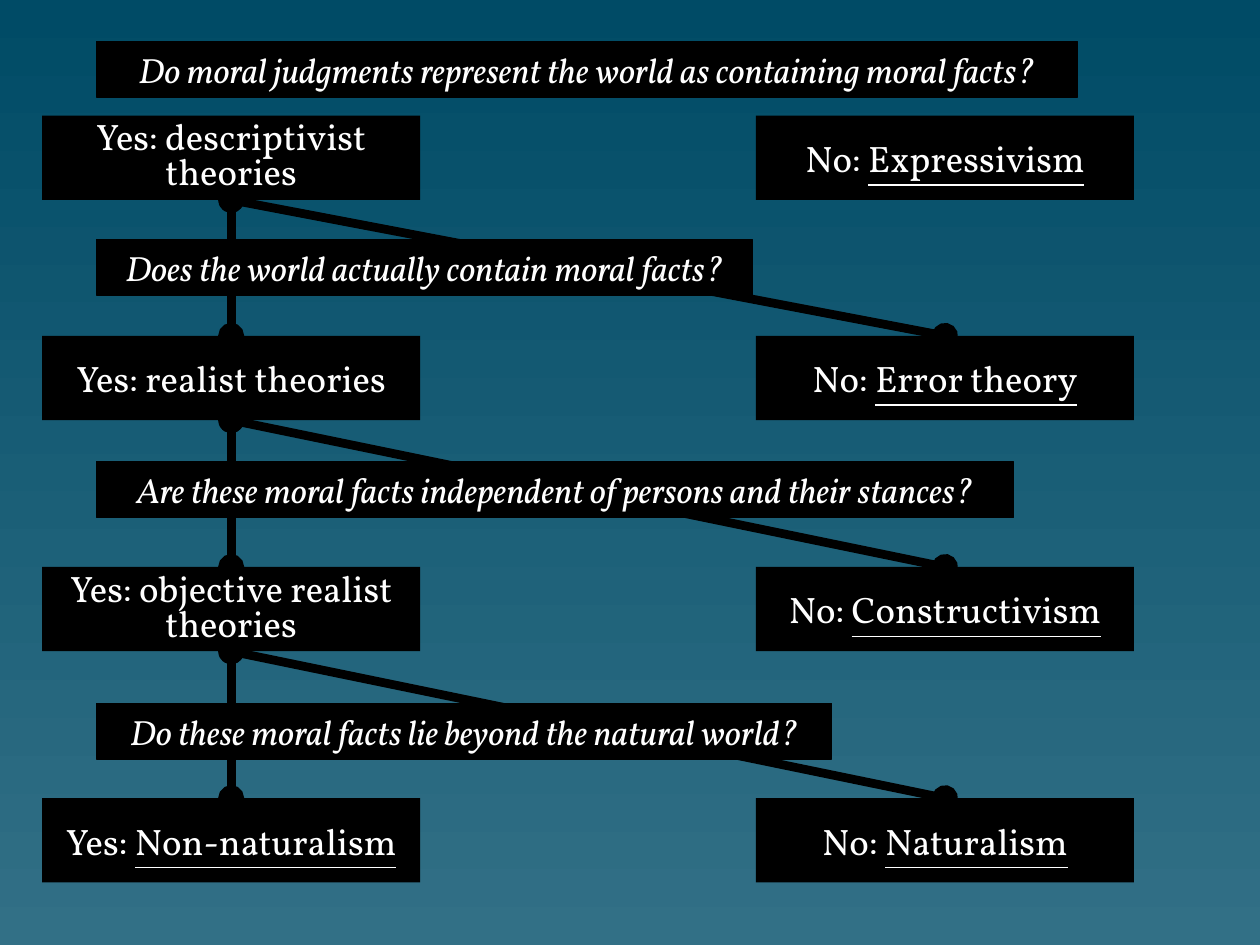
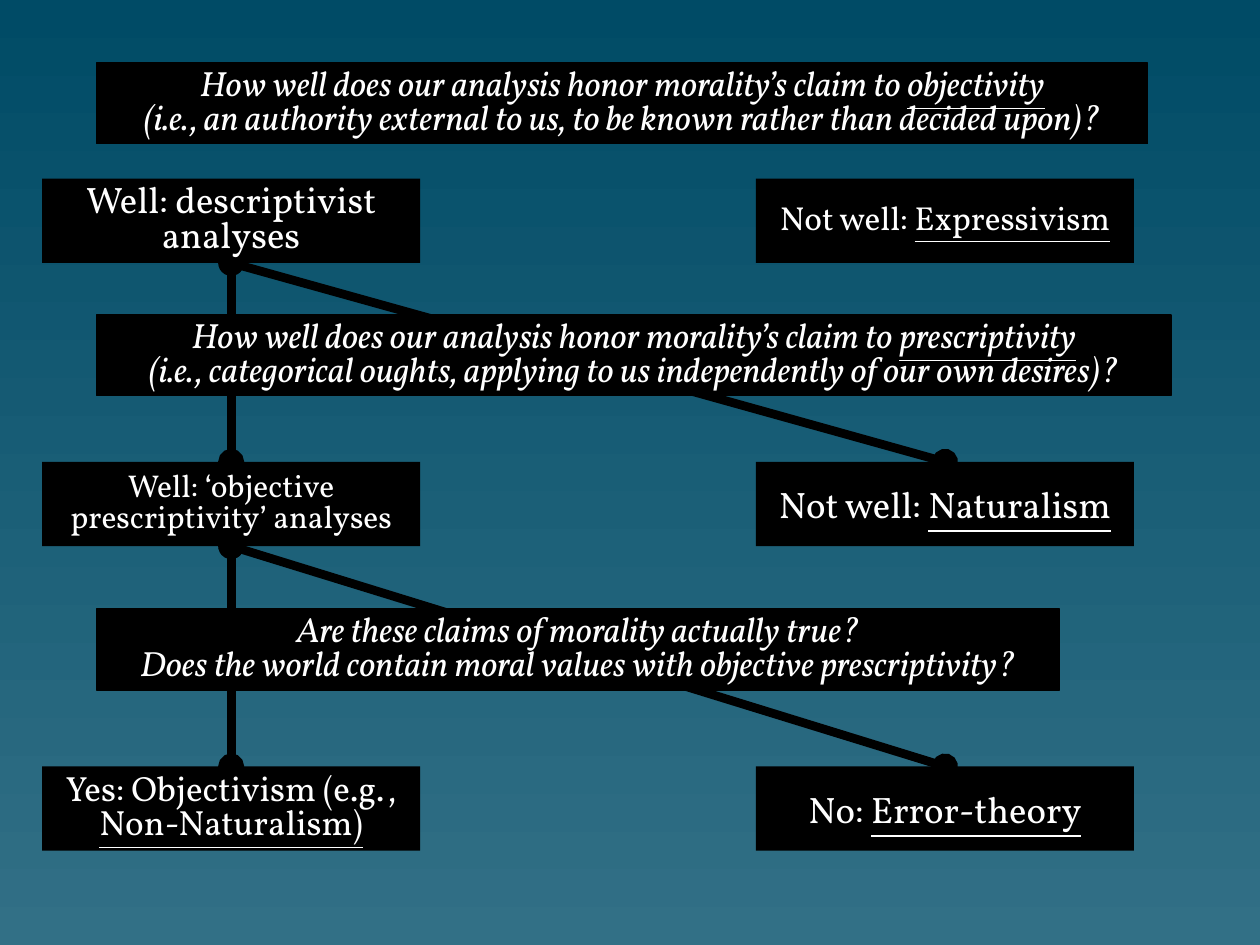
import pptx
import pptx.dml.color
import pptx.enum.shapes
import pptx.enum.text
import pptx.oxml
import pptx.util
from pptx.util import Cm

FONT = "Vollkorn"
BLACK, WHITE = "000000", "FFFFFF"
BACKGROUND = ("004B66", "327086")
YES_LEFT, NO_LEFT = 0.85, 15.24
ANSWER_W, ANSWER_H = 7.62, 1.7
QUESTION_LEFT = 1.95
TOP, BOTTOM = 0, 2  # connection sites

# Text between asterisks is underlined.
# Question: top, width, height, text. Answer: text, size, line spacing.
THEORIES = [
    dict(question=(0.84, 19.77, 1.12,
                   "Do moral judgments represent the world as containing moral facts?"),
         top=2.33,
         yes=("Yes: descriptivist theories", 21, 0.8),
         no=("No: *Expressivism*", 21, 1)),
    dict(question=(4.83, 13.22, 1.12, "Does the world actually contain moral facts?"),
         top=6.77,
         yes=("Yes: realist theories", 21, 1),
         no=("No: *Error theory*", 21, 1)),
    dict(question=(9.31, 18.48, 1.12,
                   "Are these moral facts independent of persons and their stances?"),
         top=11.43,
         yes=("Yes: objective realist theories", 21, 0.8),
         no=("No: *Constructivism*", 21, 1)),
    dict(question=(14.18, 14.82, 1.12,
                   "Do these moral facts lie beyond the natural world?"),
         top=16.09,
         yes=("Yes: *Non-naturalism*", 21, 1),
         no=("No: *Naturalism*", 21, 1)),
]
ANALYSES = [
    dict(question=(1.27, 21.19, 1.63,
                   "How well does our analysis honor morality’s claim to *objectivity*\n"
                   "(i.e., an authority external to us, to be known rather than decided upon)?"),
         top=3.6,
         yes=("Well: descriptivist analyses", 21, 0.8),
         no=("Not well: *Expressivism*", 19, 0.81)),
    dict(question=(6.35, 21.66, 1.63,
                   "How well does our analysis honor morality’s claim to *prescriptivity*\n"
                   "(i.e., categorical oughts, applying to us independently of our own desires)?"),
         top=9.31,
         yes=("Well: ‘objective prescriptivity’ analyses", 18, 0.81),
         no=("Not well: *Naturalism*", 21, 1)),
    dict(question=(12.28, 19.41, 1.63,
                   "Are these claims of morality actually true?\n"
                   "Does the world contain moral values with objective prescriptivity?"),
         top=15.45,
         yes=("Yes: Objectivism (e.g., *Non-Naturalism)*", 20, 0.8),
         no=("No: *Error-theory*", 21, 1)),
]


def rgb(value):
    return pptx.dml.color.RGBColor.from_string(value)


def set_background(master):
    fill = master.background.fill
    fill.gradient()
    fill.gradient_angle = 270
    for stop, color in zip(fill.gradient_stops, BACKGROUND):
        stop.color.rgb = rgb(color)


def write(tf, text, size, spacing, italic=False):
    """Fill the frame with one paragraph a line, underlining *marked* words."""
    tf.vertical_anchor = pptx.enum.text.MSO_ANCHOR.MIDDLE
    for i, line in enumerate(text.split("\n")):
        p = tf.add_paragraph() if i else tf.paragraphs[0]
        p.alignment = pptx.enum.text.PP_ALIGN.CENTER
        p.line_spacing = spacing
        for j, part in enumerate(line.split("*")):
            if not part:
                continue
            r = p.add_run()
            r.text = part
            r.font.name = FONT
            r.font.size = pptx.util.Pt(size)
            r.font.color.rgb = rgb(WHITE)
            if italic:
                r.font.italic = True
            if j % 2:
                r.font.underline = True


def add_box(slide, left, top, width, height):
    sp = slide.shapes.add_shape(pptx.enum.shapes.MSO_SHAPE.RECTANGLE,
                                Cm(left), Cm(top), Cm(width), Cm(height))
    sp.shadow.inherit = False
    sp.fill.solid()
    sp.fill.fore_color.rgb = rgb(BLACK)
    sp.line.fill.background()
    return sp


def add_answer(slide, left, top, text, size, spacing):
    sp = add_box(slide, left, top, ANSWER_W, ANSWER_H)
    sp.text_frame.word_wrap = True
    write(sp.text_frame, text, size, spacing)
    return sp


def add_question(slide, top, width, height, text):
    sp = add_box(slide, QUESTION_LEFT, top, width, height)
    sp.line.color.rgb = rgb(BLACK)
    sp.line.width = pptx.util.Pt(0.75)
    tf = sp.text_frame
    tf.word_wrap = False
    tf.auto_size = pptx.enum.text.MSO_AUTO_SIZE.SHAPE_TO_FIT_TEXT
    write(tf, text, 20, 0.81 if "\n" in text else 1, italic=True)


def add_branch(slide, parent, child):
    """Join two answers with a round-ended line behind all boxes."""
    cn = slide.shapes.add_connector(pptx.enum.shapes.MSO_CONNECTOR.STRAIGHT, 0, 0, 0, 0)
    cn.begin_connect(parent, BOTTOM)
    cn.end_connect(child, TOP)
    cn.line.color.rgb = rgb(BLACK)
    cn.line.width = pptx.util.Pt(5)
    ln = cn.line._get_or_add_ln()
    ns = 'xmlns:a="http://schemas.openxmlformats.org/drawingml/2006/main"'
    for end in ("headEnd", "tailEnd"):
        ln.append(pptx.oxml.parse_xml(f'<a:{end} {ns} type="oval"/>'))
    cn._element.spPr.append(pptx.oxml.parse_xml(f"<a:effectLst {ns}/>"))
    slide.shapes._spTree.insert(2, cn._element)


def add_decision_tree(prs, levels):
    slide = prs.slides.add_slide(prs.slide_layouts[6])
    parent = None
    for level in levels:
        yes = add_answer(slide, YES_LEFT, level["top"], *level["yes"])
        no = add_answer(slide, NO_LEFT, level["top"], *level["no"])
        if parent is not None:
            add_branch(slide, parent, yes)
            add_branch(slide, parent, no)
        parent = yes
    for level in levels:
        add_question(slide, *level["question"])


def main():
    prs = pptx.Presentation()
    prs.slide_width, prs.slide_height = Cm(25.4), Cm(19.05)
    set_background(prs.slide_master)
    for levels in (THEORIES, ANALYSES):
        add_decision_tree(prs, levels)
    prs.save("out.pptx")


if __name__ == "__main__":
    main()
